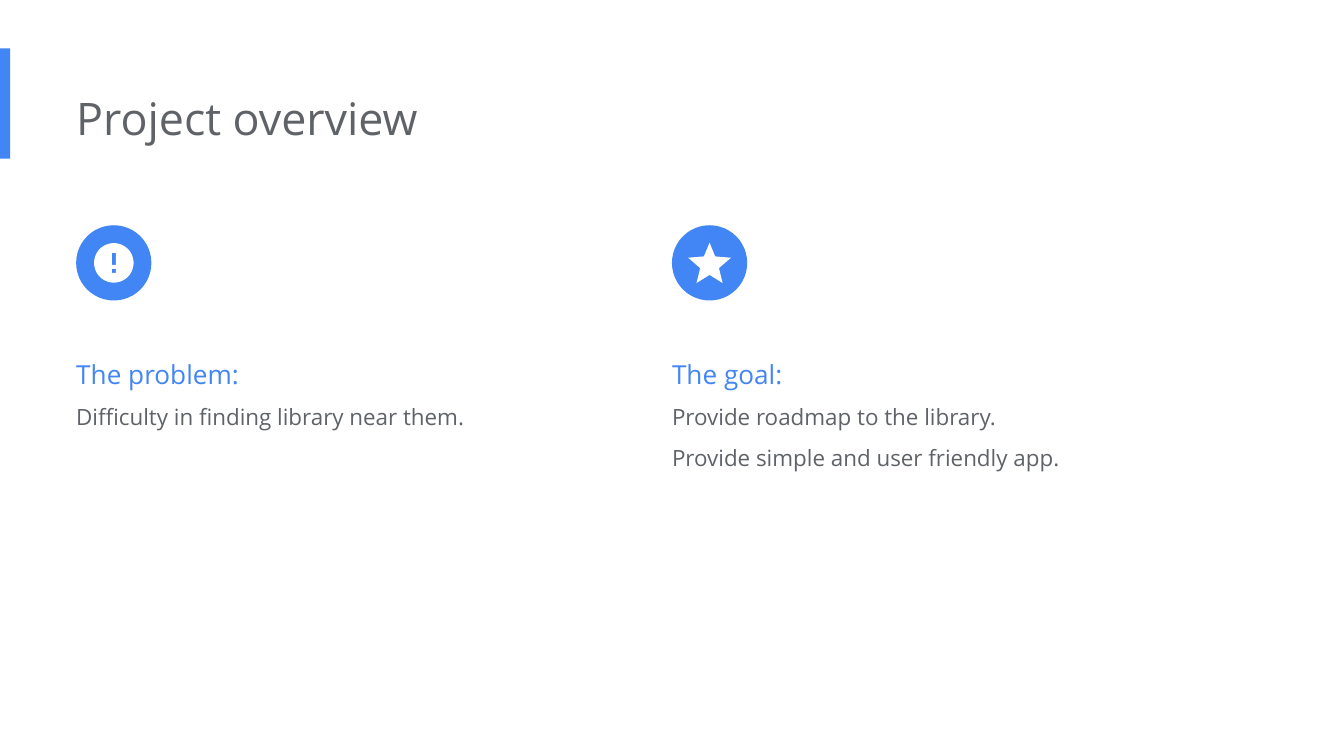
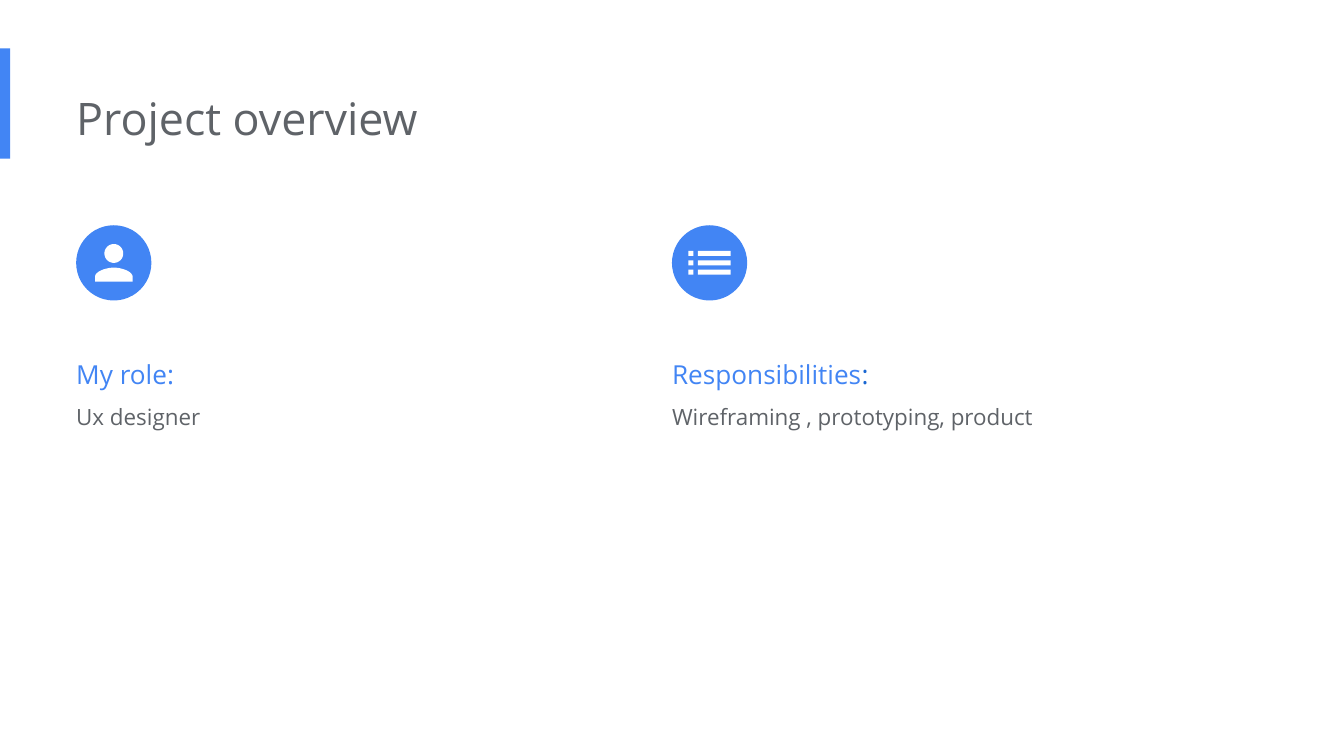
from dataclasses import dataclass
from math import cos, pi, sin

from lxml.etree import SubElement
from pptx import Presentation
from pptx.dml.color import RGBColor
from pptx.enum.shapes import MSO_SHAPE as Preset
from pptx.enum.text import MSO_ANCHOR as Anchor, MSO_AUTO_SIZE as AutoSize, PP_ALIGN as Align
from pptx.oxml.ns import qn
from pptx.util import Inches, Pt

# Shared style
BLUE = RGBColor(0x42, 0x85, 0xF4)
DARK_BLUE = RGBColor(0x19, 0x67, 0xD2)
GRAY = RGBColor(0x5F, 0x63, 0x68)
WHITE = RGBColor(0xFF, 0xFF, 0xFF)
FONT = "Open Sans"
TITLE_SIZE, HEADING_SIZE, BODY_SIZE = 24, 14, 12

# Slide in 16:9; lengths are percentages of its width and height
WIDTH = Inches(10)
HEIGHT = WIDTH * 9 // 16
INSET = Inches(0.1)
COLUMN_LEFTS = (5.67, 50)
COLUMN_WIDTH = 37.7
BADGE_TOP, BODY_TOP = 29.8, 43.6
BADGE = Inches(0.56)
BODY_PADDING, LINE_HEIGHT = 4.6, 5.34
TWO_CONTENT_LAYOUT = 3

Point = tuple[float, float]
Contour = list[Point]


# Icon outlines, in hundredths of an inch from the centre of the badge
def box(left: float, top: float, width: float, height: float) -> Contour:
    right, bottom = left + width, top + height
    return [(left, top), (right, top), (right, bottom), (left, bottom)]


def disc(radius: float, center_y: float = 0, steps: int = 60) -> Contour:
    angles = [2 * pi * step / steps for step in range(steps)]
    return [(radius * cos(angle), center_y + radius * sin(angle)) for angle in angles]


def curve(points: Contour, steps: int = 16) -> Contour:
    """Sample a cubic Bézier curve."""
    samples = []
    for step in range(steps + 1):
        t = step / steps
        weights = ((1 - t) ** 3, 3 * t * (1 - t) ** 2, 3 * t * t * (1 - t), t ** 3)
        samples.append((sum(w * x for w, (x, _) in zip(weights, points)),
                        sum(w * y for w, (_, y) in zip(weights, points))))
    return samples


def mirrored(right_half: Contour) -> Contour:
    return right_half + [(-x, y) for x, y in reversed(right_half)]


ALERT_ICON = [disc(14.7), box(-1.5, -7.4, 3, 8.8), box(-1.5, 4.4, 3, 3)]
STAR_ICON = [mirrored([(0, -15), (4.2, -4.8), (15.9, -3.8), (7, 3.9), (9.7, 15), (0, 9)])]
PERSON_ICON = [disc(7, -7),
               mirrored(curve([(0, 3.5), (4.7, 3.5), (14, 5.9), (14, 10.5)]) + [(14, 14)])]
LIST_ICON = [box(left, -8.9 + 7 * row, width, 3.7)
             for row in range(3) for left, width in ((-15.7, 3.7), (-8.7, 24.5))]


@dataclass(frozen=True)
class Topic:
    icon: list[Contour]
    heading: str
    lines: tuple[str, ...]
    heading_end: str = ""  # drawn in the darker blue


@dataclass(frozen=True)
class Overview:
    title: str
    topics: tuple[Topic, Topic]


OVERVIEWS = (
    Overview("Project overview", (
        Topic(ALERT_ICON, "The problem:", ("Difficulty in finding library near them.",)),
        Topic(STAR_ICON, "The goal:", ("Provide roadmap to the library.",
                                       "Provide simple and user friendly app.")),
    )),
    Overview("Project overview", (
        Topic(PERSON_ICON, "My role:", ("Ux designer",)),
        Topic(LIST_ICON, "Responsibilities", ("Wireframing , prototyping, product",), ":"),
    )),
)


def across(percent: float) -> int:
    return round(percent * WIDTH / 100)


def down(percent: float) -> int:
    return round(percent * HEIGHT / 100)


def place(shape, left: float, top: float, width: float, height: float) -> None:
    shape.left, shape.width = across(left), across(width)
    shape.top, shape.height = down(top), down(height)


def paint(shape, color: RGBColor) -> None:
    shape.shadow.inherit = False
    shape.fill.solid()
    shape.fill.fore_color.rgb = color
    shape.line.fill.background()


def write(paragraph, text: str, *, size: int, color: RGBColor, spacing: float = 1) -> None:
    paragraph.alignment = Align.LEFT
    paragraph.line_spacing = spacing
    paragraph.space_before = Pt(0)
    run = paragraph.add_run()
    run.text = text
    run.font.name, run.font.size = FONT, Pt(size)
    run.font.color.rgb = color


def prepare_frame(shape):
    frame = shape.text_frame
    frame.margin_left = 0
    frame.margin_top = frame.margin_right = frame.margin_bottom = INSET
    frame.vertical_anchor = Anchor.TOP
    frame.word_wrap = True
    frame.auto_size = AutoSize.SHAPE_TO_FIT_TEXT
    return frame


def remove_bullet(paragraph) -> None:
    properties = paragraph._p.get_or_add_pPr()
    properties.set("marL", "0")
    properties.set("indent", "0")
    SubElement(properties, qn("a:buNone"))


def add_accent_bar(slide) -> None:
    """Draw the bar and move it to the layout, so all slides show it."""
    bar = slide.shapes.add_shape(Preset.RECTANGLE, 0, 0, 0, 0)
    place(bar, 0, 6.4, 0.75, 14.6)
    paint(bar, BLUE)
    slide.slide_layout.shapes.element.insert(2, bar.element)


def add_badge(slide, icon: list[Contour], left: float) -> None:
    x, y = across(left), down(BADGE_TOP)
    paint(slide.shapes.add_shape(Preset.OVAL, x, y, BADGE, BADGE), BLUE)
    first, *others = [[(Inches(px / 100), Inches(py / 100)) for px, py in contour]
                      for contour in icon]
    builder = slide.shapes.build_freeform(*first[0], scale=1.0)
    builder.add_line_segments(first[1:], close=True)
    for contour in others:
        builder.move_to(*contour[0])
        builder.add_line_segments(contour[1:], close=True)
    paint(builder.convert_to_shape(x + BADGE // 2, y + BADGE // 2), WHITE)


def fill_body(body, topic: Topic, left: float) -> None:
    line_count = 1 + len(topic.lines)
    place(body, left, BODY_TOP, COLUMN_WIDTH, BODY_PADDING + LINE_HEIGHT * line_count)
    frame = prepare_frame(body)
    heading = frame.paragraphs[0]
    write(heading, topic.heading, size=HEADING_SIZE, color=BLUE, spacing=1.5)
    if topic.heading_end:
        write(heading, topic.heading_end, size=HEADING_SIZE, color=DARK_BLUE, spacing=1.5)
    for line in topic.lines:
        write(frame.add_paragraph(), line, size=BODY_SIZE, color=GRAY, spacing=1.5)
    for paragraph in frame.paragraphs:
        remove_bullet(paragraph)


def add_overview(presentation, overview: Overview):
    slide = presentation.slides.add_slide(presentation.slide_layouts[TWO_CONTENT_LAYOUT])
    title, *bodies = slide.placeholders
    place(title, COLUMN_LEFTS[0], 10.2, 67.3, 10.9)
    write(prepare_frame(title).paragraphs[0], overview.title, size=TITLE_SIZE, color=GRAY)
    for body, topic, left in zip(bodies, overview.topics, COLUMN_LEFTS):
        fill_body(body, topic, left)
        add_badge(slide, topic.icon, left)
    return slide


def main() -> None:
    presentation = Presentation()
    presentation.slide_width, presentation.slide_height = WIDTH, HEIGHT
    slides = [add_overview(presentation, overview) for overview in OVERVIEWS]
    add_accent_bar(slides[0])
    presentation.save("out.pptx")


if __name__ == "__main__":
    main()
